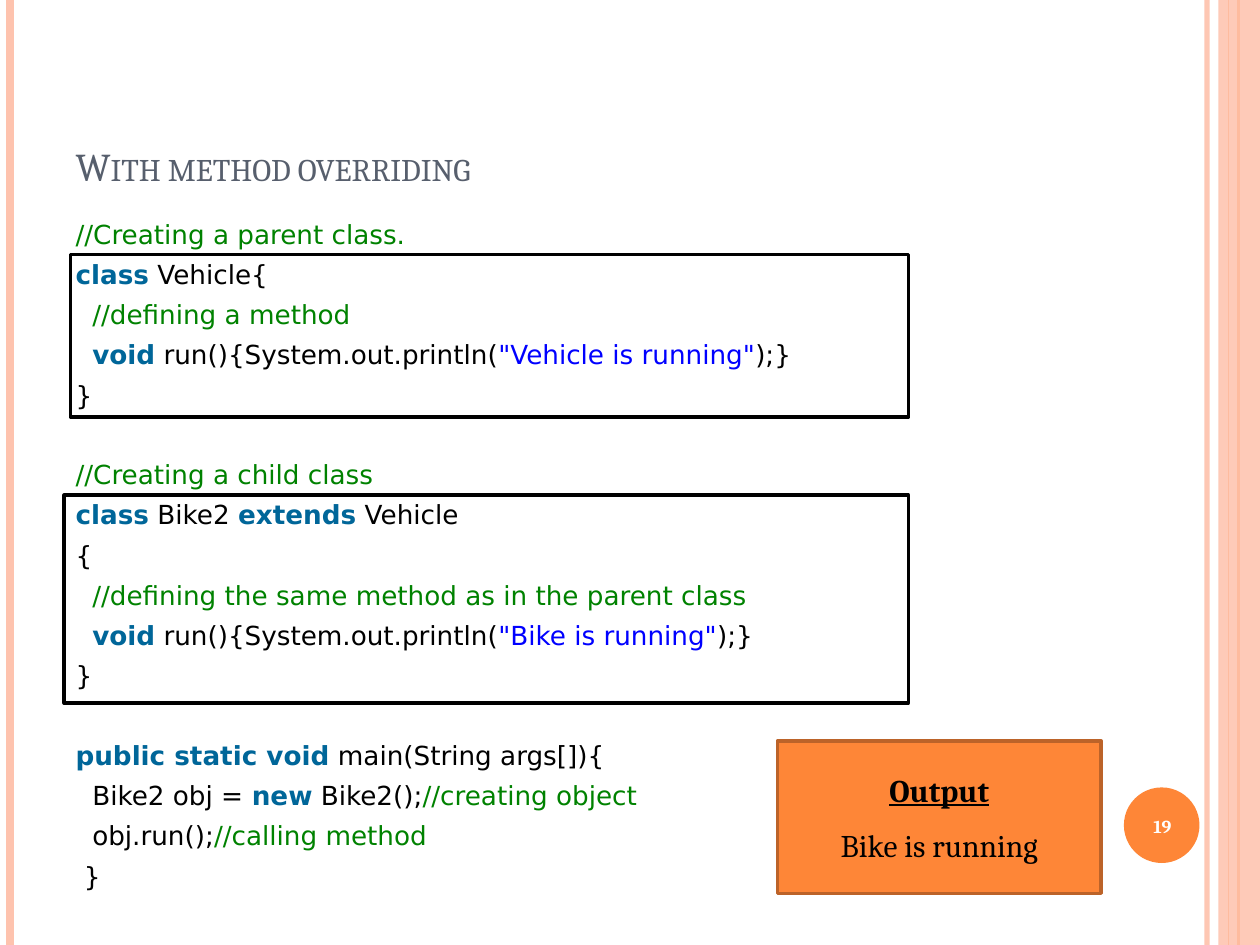
from lxml.etree import SubElement
from pptx import Presentation
from pptx.dml.color import RGBColor
from pptx.enum.shapes import MSO_CONNECTOR, MSO_SHAPE
from pptx.enum.text import MSO_ANCHOR, PP_ALIGN
from pptx.oxml.ns import qn
from pptx.util import Inches, Pt

COLORS = {"pale": "FEC3AE", "orange": "FE8637", "edge": "BC6329",
          "title": "575F6D", "white": "FFFFFF", "plain": "000000",
          "comment": "008200", "keyword": "006699", "string": "0000FF"}

prs = Presentation()
prs.slide_width, prs.slide_height = Inches(10), Inches(7.5)
# Grid of 100 columns by 100 rows
COL, ROW = prs.slide_width / 100, prs.slide_height / 100
s = prs.slides.add_slide(prs.slide_layouts[1])


def grid(x, y, w, h):
    return [int(v) for v in (x * COL, y * ROW, w * COL, h * ROW)]


def style(r, size, color, font="Cambria", bold=False):
    r.font.size, r.font.name, r.font.bold = Pt(size), font, bold
    r.font.color.rgb = RGBColor.from_string(COLORS[color])


# Vertical rules: column, colour, width, opacity in percent
for x, color, width, alpha in [(95.8, "pale", 3, 93), (0.8, "pale", 4.5, 100),
                               (98.3, "orange", 1.5, 100), (97.5, "orange", 0.75, 100)]:
    rule = s.shapes.add_connector(MSO_CONNECTOR.STRAIGHT, int(x * COL), 0,
                                  int(x * COL), prs.slide_height)
    rule.line.width = Pt(width)
    rule.line.color.rgb = RGBColor.from_string(COLORS[color])
    SubElement(rule._element.spPr, qn("a:effectLst"))
    if alpha < 100:
        clr = rule._element.spPr.find(".//" + qn("a:srgbClr"))
        SubElement(clr, qn("a:alpha"), val=str(alpha * 1000))

# Side band, number disc, code frames and output box
shapes = {}
for name, kind, area, fill, line in [
        ("band", MSO_SHAPE.RECTANGLE, (96.7, 0, 3.3, 100), "pale", None),
        ("disc", MSO_SHAPE.OVAL, (89.2, 83.33, 6, 8), "orange", None),
        ("parent", MSO_SHAPE.RECTANGLE, (5.6, 26.93, 66.5, 17.2), None, "plain"),
        ("child", MSO_SHAPE.RECTANGLE, (5.1, 52.4, 67, 22), None, "plain"),
        ("output", MSO_SHAPE.RECTANGLE, (61.7, 78.4, 25.7, 16.13), "orange", "edge")]:
    sp = shapes[name] = s.shapes.add_shape(kind, *grid(*area))
    sp.shadow.inherit = False
    if fill:
        sp.fill.solid()
        sp.fill.fore_color.rgb = RGBColor.from_string(COLORS[fill])
    else:
        sp.fill.background()
    if line:
        sp.line.color.rgb = RGBColor.from_string(COLORS[line])
        sp.line.width = Pt(2)
    else:
        sp.line.fill.background()
clr = shapes["band"]._element.spPr.find(".//" + qn("a:srgbClr"))
SubElement(clr, qn("a:alpha"), val="87000")

# Title
title = s.shapes.title
title.left, title.top, title.width, title.height = grid(5, 4, 81.7, 16.67)
tf = title.text_frame
tf.text = "With method overriding"
tf.vertical_anchor = MSO_ANCHOR.BOTTOM
p = tf.paragraphs[0]
p.alignment = PP_ALIGN.LEFT
style(p.runs[0], 22.5, "title")
p.runs[0]._r.get_or_add_rPr().set("cap", "small")

# Code listing: indent in characters, gap in lines before, coloured pieces
CODE = [
    (0, 0, [("comment", "//Creating a parent class.")]),
    (0, 0, [("keyword", "class"), ("plain", " Vehicle{")]),
    (2, 0, [("comment", "//defining a method")]),
    (2, 0, [("keyword", "void"), ("plain", " run(){System.out.println("),
            ("string", '"Vehicle is running"'), ("plain", ");}")]),
    (0, 0, [("plain", "}")]),
    (0, 1, [("comment", "//Creating a child class")]),
    (0, 0, [("keyword", "class"), ("plain", " Bike2 "),
            ("keyword", "extends"), ("plain", " Vehicle")]),
    (0, 0, [("plain", "{")]),
    (2, 0, [("comment", "//defining the same method as in the parent class")]),
    (2, 0, [("keyword", "void"), ("plain", " run(){System.out.println("),
            ("string", '"Bike is running"'), ("plain", ");}")]),
    (0, 0, [("plain", "}")]),
    (0, 1, [("keyword", "public static void"), ("plain", " main(String args[]){")]),
    (2, 0, [("plain", "Bike2 obj = "), ("keyword", "new"), ("plain", " Bike2();"),
            ("comment", "//creating object")]),
    (2, 0, [("plain", "obj.run();"), ("comment", "//calling method")]),
    (1, 0, [("plain", "}")]),
]
LINE, SPACE, CHAR = 22.5, 5, 4.77  # points
body = s.placeholders[1]
body.left, body.top, body.width, body.height = grid(5, 22.4, 81.7, 71.07)
tf = body.text_frame
for i, (indent, gap, pieces) in enumerate(CODE):
    p = tf.add_paragraph() if i else tf.paragraphs[0]
    p.space_before = Pt(SPACE + gap * LINE)
    pPr = p._p.get_or_add_pPr()
    pPr.set("marL", str(Pt(indent * CHAR)))
    pPr.set("indent", "0")
    SubElement(pPr, qn("a:buNone"))
    for kind, text in pieces:
        r = p.add_run()
        r.text = text
        style(r, 15, kind, "DejaVu Sans", kind == "keyword")

# Slide number
number = s.shapes.add_textbox(*grid(88.9, 83.6, 6.7, 7.6))
tf = number.text_frame
tf.word_wrap = True
tf.vertical_anchor = MSO_ANCHOR.MIDDLE
tf.text = "19"
tf.paragraphs[0].alignment = PP_ALIGN.CENTER
style(tf.paragraphs[0].runs[0], 10.5, "white", bold=True)

# Output text
tf = shapes["output"].text_frame
tf.vertical_anchor = MSO_ANCHOR.MIDDLE
tf.text = "Output\nBike is running"
for p, heading in zip(tf.paragraphs, (True, False)):
    p.alignment = PP_ALIGN.CENTER
    p.space_after = Pt(10 if heading else 0)
    style(p.runs[0], 18, "plain", bold=heading)
    p.runs[0].font.underline = heading

prs.save("out.pptx")
